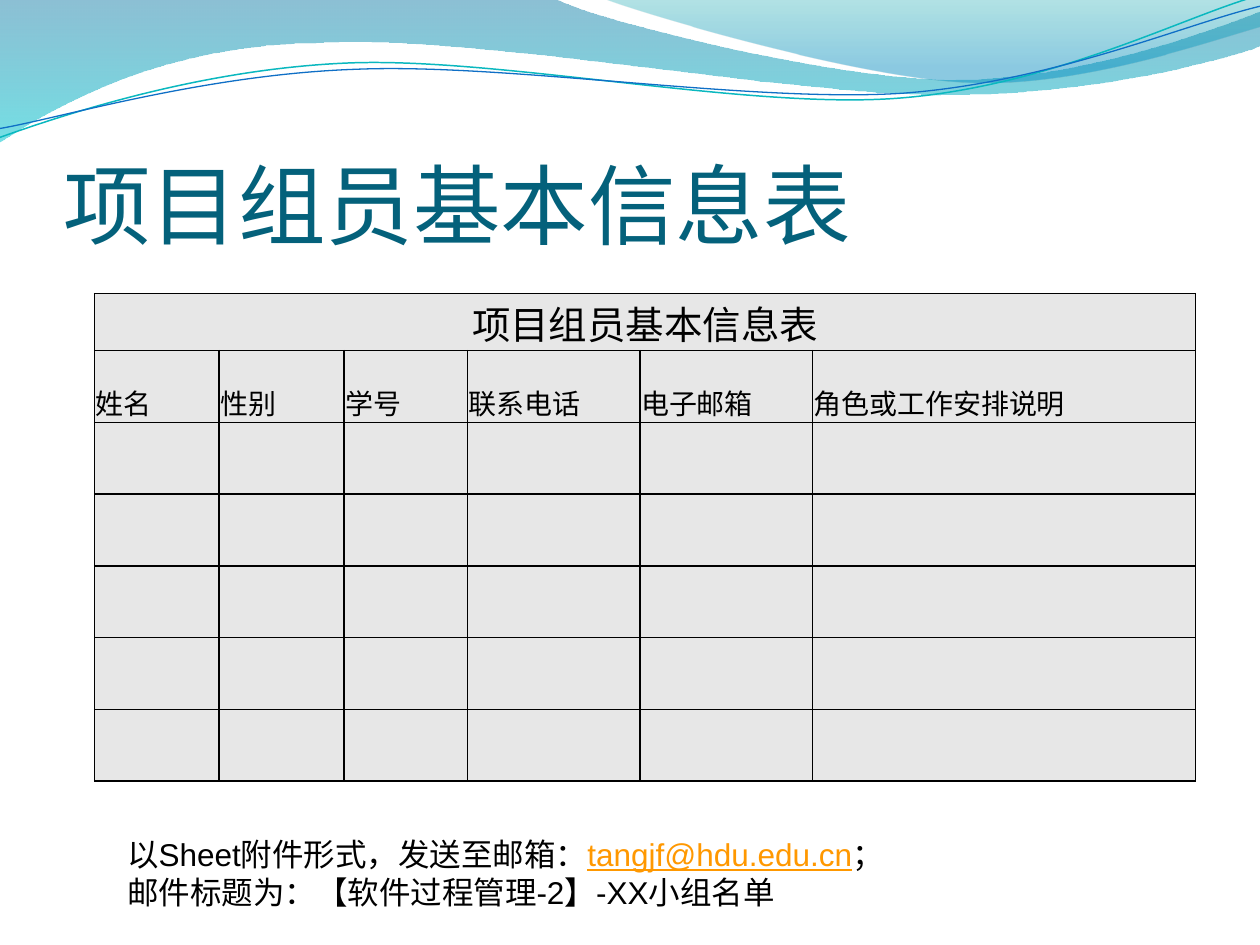
from itertools import product

from lxml.etree import SubElement
from pptx import Presentation
from pptx.dml.color import RGBColor
from pptx.enum.text import MSO_ANCHOR, MSO_AUTO_SIZE, PP_ALIGN
from pptx.oxml import parse_xml
from pptx.oxml.ns import nsdecls, qn
from pptx.util import Inches, Pt

BLACK = "000000"
TITLE = "项目组员基本信息表"
HEADERS = ["姓名", "性别", "学号", "联系电话", "电子邮箱", "角色或工作安排说明"]
COLUMN_WIDTHS = [0.99, 0.99, 0.98, 1.37, 1.37, 3.04]
ROW_HEIGHTS = [0.45] + [0.57] * 6

BANDS = [
    ([(0, -0.01), (4.4, -0.01),
      (4.76, 0.17, 6.64, 0.63, 7.58, 0.63), (8.53, 0.63, 9.58, 0.26, 10, 0.09),
      (10.01, 0.36),
      (9.83, 0.44, 8.7, 0.76, 7.46, 0.75), (6.22, 0.75, 3.82, 0.28, 2.57, 0.34),
      (1.29, 0.35, 0.46, 0.83, -0.01, 1.13)],
     [(0, "0074A1", 45), (1, "00C6CF", 55)]),
    ([(4.79, -0.01), (5.09, 0.11, 6.82, 0.62, 7.69, 0.65),
      (8.56, 0.69, 9.61, 0.32, 10, 0.21), (10, 0)],
     [(0, "00A1A9", 30), (0.8, "008BBF", 45)]),
]
WAVES = [
    ([(0, 1.09), (0.48, 0.92, 1.57, 0.55, 2.76, 0.5),
      (3.95, 0.45, 5.92, 0.87, 7.12, 0.78), (8.33, 0.69, 9.38, 0.14, 9.97, -0.03)],
     "0AB8BF", 0.85),
    ([(0, 1.02), (0.47, 0.94, 1.63, 0.59, 2.83, 0.55),
      (4.02, 0.5, 5.97, 0.82, 7.17, 0.74), (8.36, 0.65, 9.41, 0.19, 10, 0.05)],
     "0F6FC6", 0.75),
]


def color(value):
    return RGBColor.from_string(value)


class SlideBuilder:
    body_font = "Arial"
    title_font = "Calibri"
    title_color = "04617B"
    cell_color = "E7E7E7"
    link_color = "FF9800"

    def __init__(self, presentation):
        self.slide = presentation.slides.add_slide(presentation.slide_layouts[5])

    def style(self, paragraph, size, font=None, text_color=BLACK, alignment=PP_ALIGN.LEFT):
        paragraph.alignment = alignment
        paragraph.font.name = font or self.body_font
        paragraph.font.size = Pt(size)
        paragraph.font.color.rgb = color(text_color)

    def outline(self, segments, close):
        anchors = [(Inches(segment[-2]), Inches(segment[-1])) for segment in segments]
        builder = self.slide.shapes.build_freeform(*anchors[0])
        builder.add_line_segments(anchors[1:], close=close)
        shape = builder.convert_to_shape()
        shape.shadow.inherit = False
        lines = list(shape._element.spPr.iter(qn("a:lnTo")))
        for line, segment in zip(lines, segments[1:]):
            if len(segment) == 6:
                self.bend(shape, line, segment)
        return shape

    def bend(self, shape, line, segment):
        curve = parse_xml(f'<a:cubicBezTo {nsdecls("a")}/>')
        for x, y in zip(segment[::2], segment[1::2]):
            point = SubElement(curve, qn("a:pt"))
            point.set("x", str(Inches(x) - shape.left))
            point.set("y", str(Inches(y) - shape.top))
        line.getparent().replace(line, curve)

    def band(self, segments, stops):
        shape = self.outline(segments, True)
        shape.line.fill.background()
        shape.fill.gradient()
        shape.fill.gradient_angle = 270
        for gradient_stop, (position, value, _) in zip(shape.fill.gradient_stops, stops):
            gradient_stop.position = position
            gradient_stop.color.rgb = color(value)
        for element, (_, _, opacity) in zip(shape._element.spPr.iter(qn("a:srgbClr")), stops):
            SubElement(element, qn("a:alpha")).set("val", str(opacity * 1000))

    def wave(self, segments, line_color, width):
        shape = self.outline(segments, False)
        shape.fill.background()
        shape.line.color.rgb = color(line_color)
        shape.line.width = Pt(width)

    def title(self, text, left, top, width, height):
        shape = self.slide.shapes.title
        shape.left, shape.top = Inches(left), Inches(top)
        shape.width, shape.height = Inches(width), Inches(height)
        frame = shape.text_frame
        frame.text = text
        frame.auto_size = MSO_AUTO_SIZE.NONE
        frame.vertical_anchor = MSO_ANCHOR.BOTTOM
        frame.margin_left = frame.margin_right = frame.margin_bottom = 0
        frame.margin_top = Inches(0.05)
        self.style(frame.paragraphs[0], 50, self.title_font, self.title_color)

    def border(self, cell):
        properties = cell._tc.get_or_add_tcPr()
        for index, side in enumerate("LRTB"):
            properties.insert(index, parse_xml(
                f'<a:ln{side} {nsdecls("a")} w="12700"><a:solidFill>'
                f'<a:srgbClr val="{BLACK}"/></a:solidFill></a:ln{side}>'))

    def cell_text(self, cell, text, size, alignment=PP_ALIGN.LEFT):
        cell.text = text
        cell.vertical_anchor = MSO_ANCHOR.BOTTOM
        cell.margin_left = cell.margin_right = cell.margin_top = Inches(0.01)
        cell.margin_bottom = 0
        self.style(cell.text_frame.paragraphs[0], size, alignment=alignment)

    def member_table(self, left, top):
        table = self.slide.shapes.add_table(
            len(ROW_HEIGHTS), len(COLUMN_WIDTHS), Inches(left), Inches(top),
            Inches(sum(COLUMN_WIDTHS)), Inches(sum(ROW_HEIGHTS))).table
        table.first_row = table.horz_banding = False
        for column, width in zip(table.columns, COLUMN_WIDTHS):
            column.width = Inches(width)
        for row, height in zip(table.rows, ROW_HEIGHTS):
            row.height = Inches(height)
        for row, column in product(range(len(ROW_HEIGHTS)), range(len(COLUMN_WIDTHS))):
            cell = table.cell(row, column)
            cell.fill.solid()
            cell.fill.fore_color.rgb = color(self.cell_color)
            self.border(cell)
        table.cell(0, 0).merge(table.cell(0, len(COLUMN_WIDTHS) - 1))
        self.cell_text(table.cell(0, 0), TITLE, 22, PP_ALIGN.CENTER)
        for column, header in enumerate(HEADERS):
            self.cell_text(table.cell(1, column), header, 16)

    def note(self, lines, address, left, top, width, height):
        shape = self.slide.shapes.add_textbox(
            Inches(left), Inches(top), Inches(width), Inches(height))
        frame = shape.text_frame
        frame.word_wrap = True
        frame.auto_size = MSO_AUTO_SIZE.SHAPE_TO_FIT_TEXT
        for index, parts in enumerate(lines):
            paragraph = frame.add_paragraph() if index else frame.paragraphs[0]
            self.style(paragraph, 18)
            for part in parts:
                run = paragraph.add_run()
                run.text = part
                if part == address:
                    run.font.underline = True
                    run.font.color.rgb = color(self.link_color)


def main():
    presentation = Presentation()
    presentation.slide_width, presentation.slide_height = Inches(10), Inches(7.5)
    builder = SlideBuilder(presentation)
    for band in BANDS:
        builder.band(*band)
    for wave in WAVES:
        builder.wave(*wave)
    builder.title(TITLE, 0.5, 0.78, 9, 1.25)
    builder.member_table(0.75, 2.33)
    address = "tangjf@hdu.edu.cn"
    builder.note(
        [["以Sheet附件形式，发送至邮箱：", address, "；"],
         ["邮件标题为：【软件过程管理-2】-XX小组名单"]],
        address, 0.91, 6.58, 8.58, 0.71)
    presentation.save("out.pptx")


if __name__ == "__main__":
    main()
